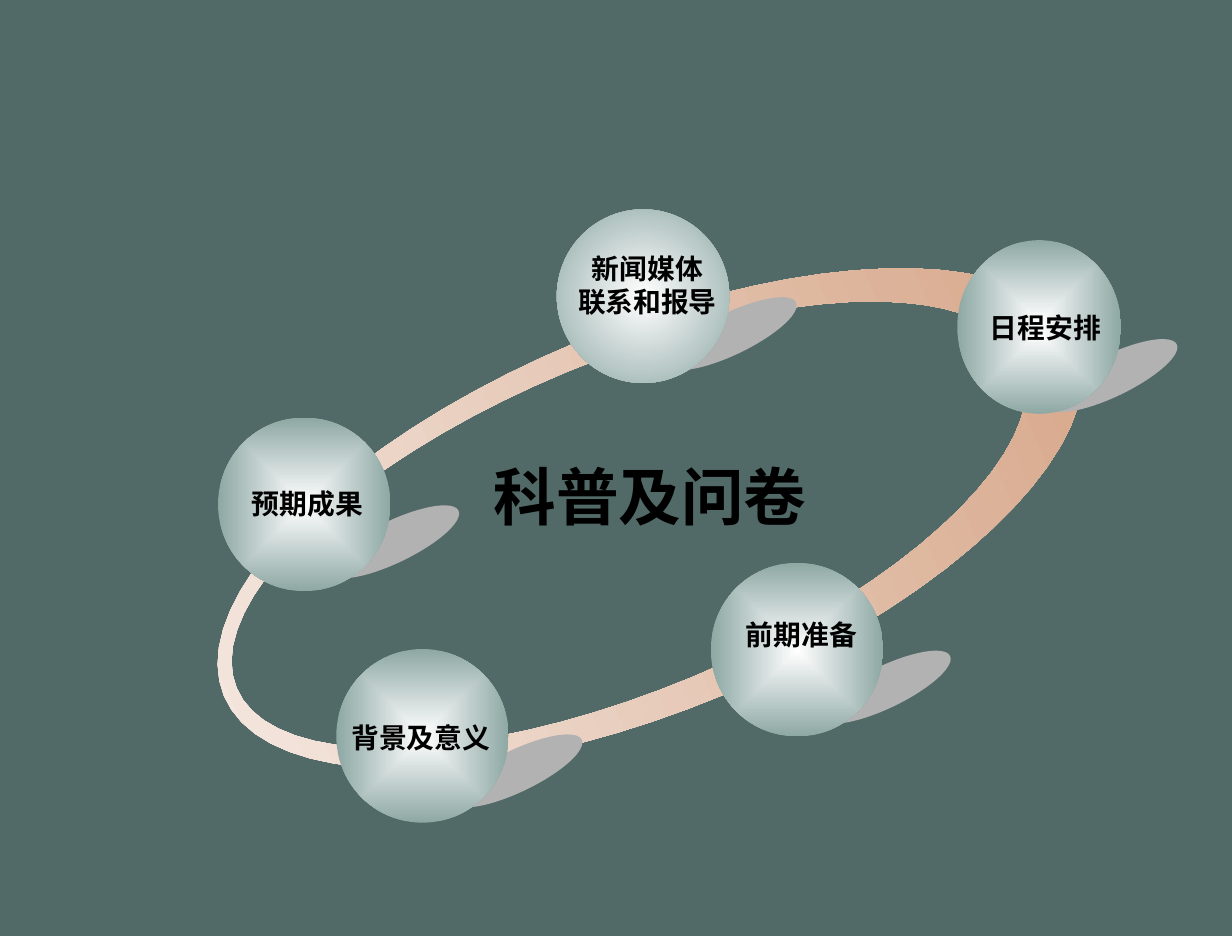
from math import cos, pi, sin

from lxml.etree import SubElement
from pptx import Presentation as Deck
from pptx.dml.color import RGBColor as Rgb
from pptx.enum.shapes import MSO_SHAPE as Kind
from pptx.enum.text import MSO_AUTO_SIZE as Fit, PP_ALIGN as Align
from pptx.oxml.ns import qn
from pptx.util import Pt

PX = 9000
HUES = {
    "back": "526A67", "pale": "F7EDE7", "clay": "D4A182", "shade": "B2B2B2",
    "white": "FFFFFF", "sage": "8EA8A4", "ink": "000000",
}
NODES = [
    ((177, 339, 140, 141), (261, 423), (193, 390, 113, 38), ["预期成果"], "shape"),
    ((452, 170, 140, 141), (535, 254), (458, 199, 135, 65), ["新闻媒体", "联系和报导"], "circle"),
    ((777, 195, 133, 141), (844, 288), (792, 247, 113, 38), ["日程安排"], "shape"),
    ((577, 457, 140, 141), (660, 541), (594, 497, 113, 38), ["前期准备"], "shape"),
    ((273, 527, 140, 141), (361, 609), (274, 580, 135, 38), ["背景及意义"], "shape"),
]


def hue(name):
    return Rgb.from_string(HUES[name])


def curve(x, y, wide, high, turn):
    steps = 76
    angles = [turn * 2 * pi * i / steps for i in range(steps)]
    return [(PX * (x + wide * cos(a)), PX * (y + high * sin(a))) for a in angles]


class Board:
    def __init__(self, wide, high):
        self.deck = Deck()
        self.deck.slide_width, self.deck.slide_height = wide * PX, high * PX
        self.slide = self.deck.slides.add_slide(self.deck.slide_layouts[6])
        self.shapes = self.slide.shapes
        self.font = {"name": "DejaVu Sans", "bold": True}
        fill = self.slide.background.fill
        fill.solid()
        fill.fore_color.rgb = hue("back")

    def plain(self, shape, spin=0):
        shape.shadow.inherit = False
        shape.line.fill.background()
        shape.rotation = spin

    def blend(self, shape, names, mode=None):
        shape.fill.gradient()
        shape.fill.gradient_angle = 0
        for stop, name in zip(shape.fill.gradient_stops, names):
            stop.color.rgb = hue(name)
        if mode:
            grad = shape._element.spPr.find(qn("a:gradFill"))
            grad.remove(grad.find(qn("a:lin")))
            route = SubElement(grad, qn("a:path"), {"path": mode})
            SubElement(route, qn("a:fillToRect"), dict.fromkeys("ltrb", "50000"))

    def ring(self, outer, inner, spin):
        rim, hole = curve(*outer, 1), curve(*inner, -1)
        pen = self.shapes.build_freeform(*rim[0])
        pen.add_line_segments(rim[1:])
        pen.move_to(*hole[0])
        pen.add_line_segments(hole[1:])
        shape = pen.convert_to_shape()
        self.plain(shape, spin)
        self.blend(shape, ("pale", "clay"))

    def oval(self, box, spin=0):
        shape = self.shapes.add_shape(Kind.OVAL, *(n * PX for n in box))
        self.plain(shape, spin)
        return shape

    def shade(self, spot):
        shape = self.oval((*spot, 117, 34), 334.3)
        shape.fill.solid()
        shape.fill.fore_color.rgb = hue("shade")

    def ball(self, box, mode):
        self.blend(self.oval(box), ("white", "sage"), mode)

    def text(self, box, lines, size, wrap=False):
        frame = self.shapes.add_textbox(*(n * PX for n in box)).text_frame
        frame.word_wrap = wrap
        frame.auto_size = Fit.SHAPE_TO_FIT_TEXT
        frame.text = "\n".join(lines)
        for para in frame.paragraphs:
            para.alignment = Align.CENTER
            font = para.runs[0].font
            for key, value in {**self.font, "size": Pt(size)}.items():
                setattr(font, key, value)
            font.color.rgb = hue("ink")


def main():
    board = Board(1000, 760)
    board.ring((528, 421, 375, 155), (510, 419, 345, 134), 337.4)
    board.text((386, 367, 283, 72), ["科普及问卷"], 36, True)
    for box, spot, label, lines, mode in NODES:
        board.shade(spot)
        board.ball(box, mode)
        board.text(label, lines, 16)
    board.deck.save("out.pptx")


if __name__ == "__main__":
    main()
